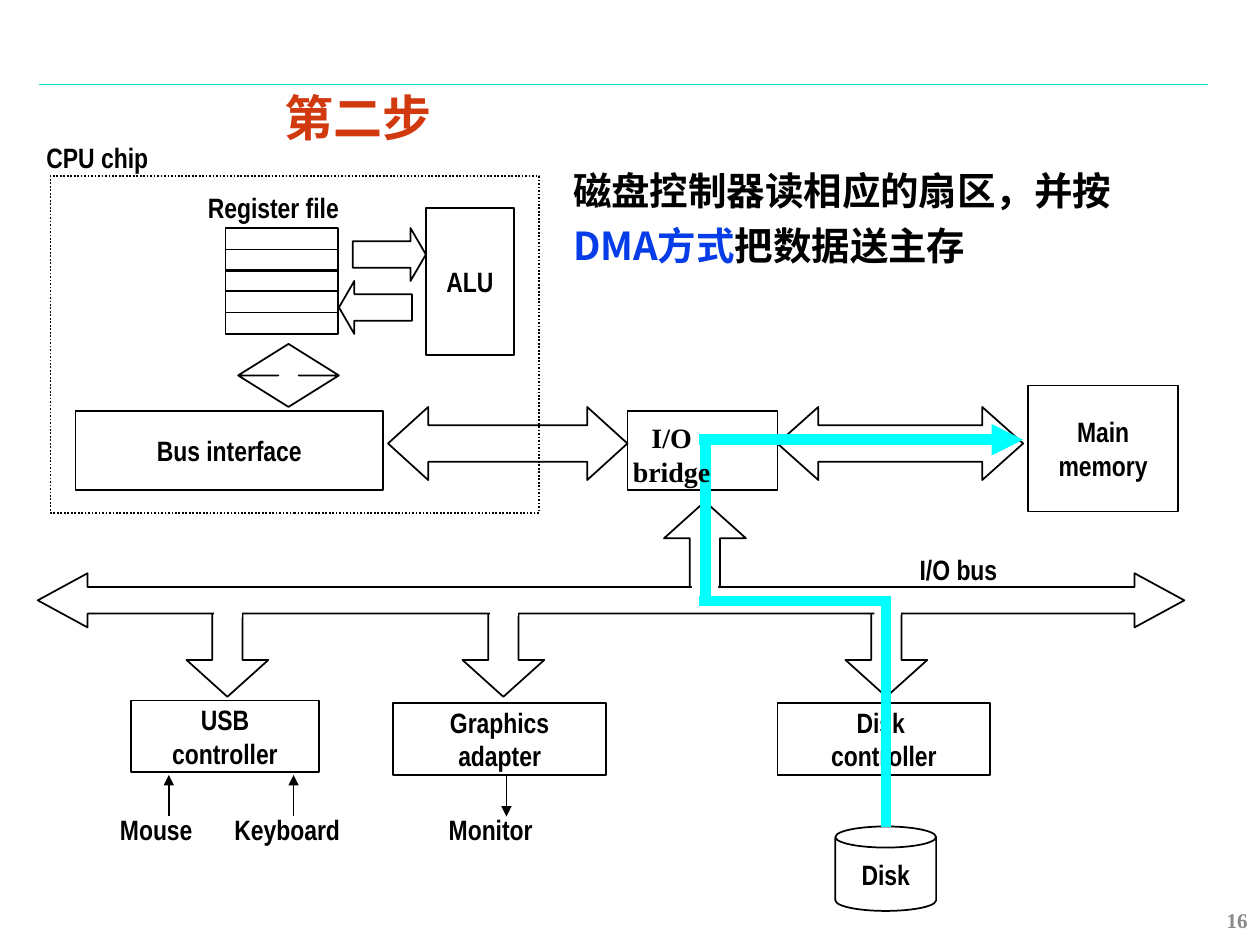
from dataclasses import dataclass

from lxml import etree
from pptx import Presentation
from pptx import util as u
from pptx.dml.color import RGBColor
from pptx.enum import dml, shapes, text
from pptx.oxml.ns import qn

PX = 9144  # 100 px to the inch
BLACK, WHITE, CYAN = "000000", "FFFFFF", "00FFFF"
TEAL, RED, BLUE, GREY = "00DFCA", "D1390F", "063DE8", "898989"
NARROW, CJK, SERIF = "Arial Narrow", "Noto Sans CJK SC", "Times New Roman"
KIND = shapes.MSO_SHAPE
ALIGN = text.PP_ALIGN
MIDDLE, TOP = text.MSO_ANCHOR.MIDDLE, text.MSO_ANCHOR.TOP


@dataclass
class Block:
    left: int
    top: int
    width: int
    height: int
    label: str = ""
    kind: shapes.MSO_SHAPE = KIND.RECTANGLE
    adjust: tuple = ()
    fill: str | None = None
    line: str | None = BLACK
    dotted: bool = False


@dataclass
class Label:
    left: int
    top: int
    width: int
    words: str
    height: int = 37
    align: text.PP_ALIGN = ALIGN.CENTER


@dataclass
class Link:
    x1: int
    y1: int
    x2: int
    y2: int
    color: str = BLACK
    points: int = 1
    arrow: bool = False


def px(*lengths: int) -> list:
    return [u.Emu(length * PX) for length in lengths]


def rgb(color: str) -> RGBColor:
    return RGBColor.from_string(color)


def write(frame, words, *, size=16, font=NARROW, color=BLACK, align=ALIGN.CENTER,
          anchor=MIDDLE, wrap=False, spacing=None) -> None:
    """Fill a text frame; words is a string or a list of (string, colour) runs."""
    frame.word_wrap = wrap
    frame.vertical_anchor = anchor
    lines = [[(line, color)] for line in words.split("\n")] if isinstance(words, str) else [words]
    for index, runs in enumerate(lines):
        paragraph = frame.add_paragraph() if index else frame.paragraphs[0]
        paragraph.alignment = align
        paragraph.line_spacing = spacing
        for words_in_run, run_color in runs:
            run = paragraph.add_run()
            run.text = words_in_run
            run.font.size = u.Pt(size)
            run.font.bold = True
            run.font.name = font
            run.font.color.rgb = rgb(run_color)
            east_asian = etree.SubElement(run.font._element, qn("a:ea"))
            east_asian.set("typeface", font)


def add_text(slide, left: int, top: int, width: int, height: int, words, **style) -> None:
    box = slide.shapes.add_textbox(*px(left, top, width, height))
    write(box.text_frame, words, **style)


def add_block(slide, block: Block) -> None:
    shape = slide.shapes.add_shape(
        block.kind, *px(block.left, block.top, block.width, block.height))
    shape.shadow.inherit = False
    for index, value in enumerate(block.adjust):
        shape.adjustments[index] = value
    if block.fill:
        shape.fill.solid()
        shape.fill.fore_color.rgb = rgb(block.fill)
    else:
        shape.fill.background()
    if block.line:
        shape.line.color.rgb = rgb(block.line)
        shape.line.width = u.Pt(1)
    else:
        shape.line.fill.background()
    if block.dotted:
        shape.line.dash_style = dml.MSO_LINE.ROUND_DOT
    if block.label:
        write(shape.text_frame, block.label)


def add_link(slide, link: Link) -> None:
    connector = slide.shapes.add_connector(
        shapes.MSO_CONNECTOR.STRAIGHT, *px(link.x1, link.y1, link.x2, link.y2))
    connector.line.color.rgb = rgb(link.color)
    connector.line.width = u.Pt(link.points)
    if link.arrow:
        tail = etree.SubElement(connector.line._get_or_add_ln(), qn("a:tailEnd"))
        tail.set("type", "triangle")
    etree.SubElement(connector._element.spPr, qn("a:effectLst"))


BRANCH = (0.37, 0.45)
REGISTERS = [Block(179, round(181 + 16.75 * row), 89, 17) for row in range(5)]
BRANCHES = [Block(left, 478, 65, 75, kind=KIND.DOWN_ARROW, adjust=BRANCH)
            for left in (148, 367, 671)]
# White patches open the bus outline where each branch joins it
JOINTS = [Block(left, top, width, 17, fill=WHITE, line=None)
          for left, top, width in ((170, 473, 22), (389, 472, 22), (694, 471, 21), (549, 465, 21))]

BLOCKS = [
    Block(816, 306, 119, 100, "Main\nmemory"),
    Block(617, 323, 195, 58, kind=KIND.LEFT_RIGHT_ARROW, adjust=(0.5, 0.56)),
    Block(498, 326, 119, 63),
    Block(308, 323, 190, 58, kind=KIND.LEFT_RIGHT_ARROW, adjust=(0.5, 0.55)),
    *REGISTERS,
    Block(280, 181, 58, 42, kind=KIND.RIGHT_ARROW, adjust=(0.5, 0.29)),
    Block(269, 223, 58, 42, kind=KIND.LEFT_ARROW, adjust=(0.5, 0.29)),
    Block(338, 165, 70, 117, "ALU"),
    Block(189, 273, 80, 50, kind=KIND.UP_DOWN_ARROW, adjust=(0.5, 0.2)),
    Block(40, 140, 388, 267, dotted=True),
    Block(60, 326, 244, 63, "Bus interface"),
    Block(527, 398, 65, 75, kind=KIND.UP_ARROW, adjust=BRANCH),
    *BRANCHES,
    Block(617, 558, 169, 57, "Disk \ncontroller"),
    Block(312, 558, 169, 57, "Graphics\nadapter"),
    Block(104, 556, 149, 57, "USB\ncontroller"),
    Block(663, 656, 80, 67, "Disk", kind=KIND.CAN, adjust=(0.25,)),
    Block(30, 455, 910, 43, kind=KIND.LEFT_RIGHT_ARROW, adjust=(0.49, 0.92), fill=WHITE),
    *JOINTS,
]

LINKS = [
    Link(31, 67, 959, 67, TEAL),
    Link(134, 648, 134, 615, arrow=True),
    Link(233, 648, 233, 615, arrow=True),
    Link(402, 615, 402, 648, arrow=True),
    Link(555, 349, 812, 349, CYAN, 6, arrow=True),
    Link(560, 349, 560, 473, CYAN, 6),
    Link(555, 477, 703, 477, CYAN, 6),
    Link(703, 473, 703, 656, CYAN, 6),
]

LABELS = [
    Label(155, 146, 124, "Register file"),
    Label(27, 106, 101, "CPU chip", align=ALIGN.LEFT),
    Label(85, 640, 78, "Mouse"),
    Label(176, 640, 104, "Keyboard"),
    Label(346, 640, 87, "Monitor"),
    Label(720, 433, 82, "I/O bus", align=ALIGN.LEFT),
]


def main() -> None:
    deck = Presentation()
    deck.slide_width, deck.slide_height = px(1000, 750)
    slide = deck.slides.add_slide(deck.slide_layouts[6])
    for block in BLOCKS:
        add_block(slide, block)
    for link in LINKS:
        add_link(slide, link)
    for label in LABELS:
        add_text(slide, label.left, label.top, label.width, label.height,
                 label.words, align=label.align)
    add_text(slide, 216, 71, 153, 51, "第二步", size=28, font=CJK, color=RED,
             align=ALIGN.LEFT, wrap=True, spacing=0.87)
    step = [("磁盘控制器读相应的扇区，并按", BLACK), ("DMA方式", BLUE), ("把数据送主存", BLACK)]
    add_text(slide, 445, 120, 492, 98, step, size=22, font=CJK, align=ALIGN.LEFT,
             anchor=TOP, wrap=True, spacing=1.2)
    add_text(slide, 775, 710, 225, 40, "16", size=12, font=SERIF, color=GREY,
             align=ALIGN.RIGHT, wrap=True)
    add_text(slide, 482, 329, 102, 64, "I/O bridge", font=SERIF, anchor=TOP, wrap=True)
    deck.save("out.pptx")


if __name__ == "__main__":
    main()
